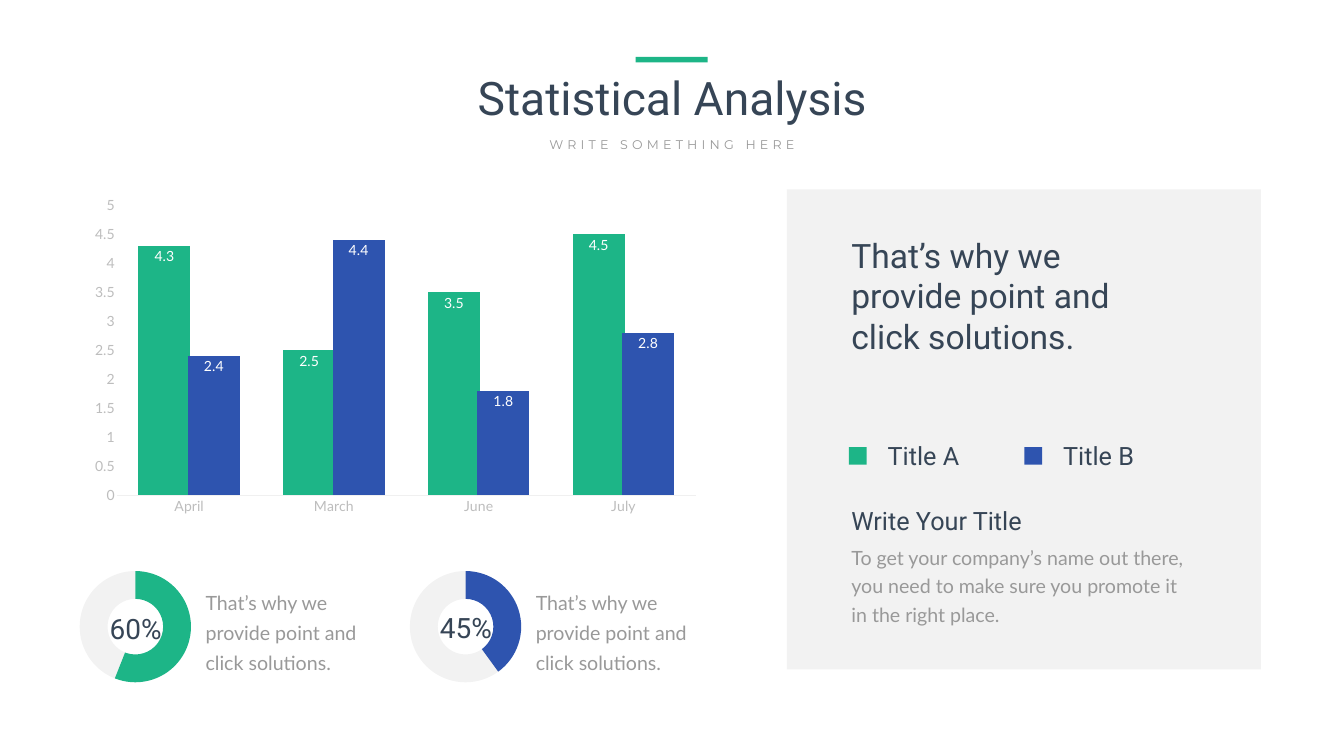
import pptx
from lxml import etree
from pptx.chart.data import CategoryChartData
from pptx.dml.color import RGBColor
from pptx.enum.chart import XL_CHART_TYPE, XL_LABEL_POSITION, XL_TICK_MARK
from pptx.enum.shapes import MSO_SHAPE
from pptx.enum.text import MSO_ANCHOR, MSO_AUTO_SIZE, PP_ALIGN
from pptx.oxml.ns import qn
from pptx.util import Inches, Pt

GREEN, BLUE, NAVY = "1DB587", "2E54AF", "364556"
GREY, AXIS_GREY, AXIS_LINE, WHITE = "999999", "BDBDBD", "F0F0F0", "FFFFFF"
PALE = "808080"  # shown at 10 % opacity

SLOGAN = "That’s why we provide point and click solutions."
MONTHS = ["April", "March", "June", "July"]
SERIES = [
    ("Series 1", [4.3, 2.5, 3.5, 4.5], GREEN),
    ("Series 2", [2.4, 4.4, 1.8, 2.8], BLUE),
]
# left edge, label, label top, filled share, colour, caption width
RINGS = [
    (1.35, "60%", 12.09, 56, GREEN, 3.33),
    (7.9, "45%", 12.07, 40, BLUE, 3.77),
]
LEGEND = [("Title A", GREEN), ("Title B", BLUE)]
PANEL_TITLE = "Write Your Title"
PANEL_BODY = ("To get your company’s name out there, you need to make sure "
              "you promote it in the right place.")


def rgb(hex_colour):
    return RGBColor.from_string(hex_colour)


def set_font(font, name, size, colour):
    font.name, font.size, font.bold = name, Pt(size), False
    font.color.rgb = rgb(colour)


def paint(fill, colour, opacity=100):
    fill.solid()
    fill.fore_color.rgb = rgb(colour)
    if opacity < 100:
        colour_element = fill._xPr.find(qn("a:solidFill"))[0]
        etree.SubElement(colour_element, qn("a:alpha"), val=str(opacity * 1000))


def write(box, text, name, size, colour, align=PP_ALIGN.LEFT, line_pt=None):
    frame = box.text_frame
    frame.text = text
    frame.word_wrap = True
    frame.auto_size = MSO_AUTO_SIZE.NONE
    frame.vertical_anchor = MSO_ANCHOR.TOP
    paragraph = frame.paragraphs[0]
    paragraph.alignment = align
    if line_pt:
        paragraph.line_spacing = Pt(line_pt)
    set_font(paragraph.runs[0].font, name, size, colour)
    return paragraph.runs[0]


def add_text(left, top, width, height, *style, **options):
    box = slide.shapes.add_textbox(*map(Inches, (left, top, width, height)))
    return write(box, *style, **options)


def add_block(left, top, width, height, colour, opacity=100):
    block = slide.shapes.add_shape(
        MSO_SHAPE.RECTANGLE, *map(Inches, (left, top, width, height)))
    block.shadow.inherit = False
    block.line.fill.background()
    paint(block.fill, colour, opacity)


def add_chart(kind, left, top, width, height, categories, series, plot_box):
    """Add a chart whose inner plot area is plot_box, in shares of the chart."""
    data = CategoryChartData()
    data.categories = categories
    for name, values in series:
        data.add_series(name, values)
    chart = slide.shapes.add_chart(
        kind, *map(Inches, (left, top, width, height)), data).chart
    chart.has_legend = chart.has_title = False
    plot_area = chart._chartSpace.find(".//" + qn("c:plotArea"))
    for old in plot_area.findall(qn("c:layout")):
        plot_area.remove(old)
    layout = etree.Element(qn("c:layout"))
    plot_area.insert(0, layout)
    manual = etree.SubElement(layout, qn("c:manualLayout"))
    settings = [("layoutTarget", "inner"), ("xMode", "edge"), ("yMode", "edge")]
    for tag, value in settings + list(zip("xywh", plot_box)):
        etree.SubElement(manual, qn("c:" + tag), val=str(value))
    return chart


def add_monthly_columns():
    chart = add_chart(XL_CHART_TYPE.COLUMN_CLUSTERED, 1.66, 3.76, 12.39, 6.58,
                      MONTHS, [row[:2] for row in SERIES],
                      (0.053, 0.047, 0.927, 0.874))
    set_font(chart.font, "Lato", 20, GREY)
    plot = chart.plots[0]
    plot.gap_width, plot.overlap, plot.vary_by_categories = 83, 5, False
    for series, (_, _, colour) in zip(plot.series, SERIES):
        paint(series.format.fill, colour)
        labels = series.data_labels
        labels.show_value = True
        labels.position = XL_LABEL_POSITION.INSIDE_END
        set_font(labels.font, "Lato", 20, WHITE)
    months, scale = chart.category_axis, chart.value_axis
    for axis in (months, scale):
        axis.major_tick_mark = axis.minor_tick_mark = XL_TICK_MARK.NONE
        axis.has_major_gridlines = False
        set_font(axis.tick_labels.font, "Lato", 20, AXIS_GREY)
    months.format.line.color.rgb = rgb(AXIS_LINE)
    months.format.line.width = Pt(0.75)
    scale.format.line.fill.background()
    scale.minimum_scale, scale.maximum_scale, scale.major_unit = 0, 5, 0.5


def add_ring(left, label, label_top, share, colour, caption_width):
    chart = add_chart(XL_CHART_TYPE.DOUGHNUT, left, 11.18, 2.67, 2.51,
                      ["1", "2"], [("Series 1", [share, 100 - share])],
                      (0.085, 0.06, 0.83, 0.88))
    set_font(chart.font, "Calibri", 10, GREY)
    chart._chartSpace.find(".//" + qn("c:holeSize")).set("val", "75")
    points = chart.plots[0].series[0].points
    paint(points[0].format.fill, colour)
    paint(points[1].format.fill, PALE, 10)
    add_text(left + 0.55, label_top, 1.58, 0.72, label, "Roboto", 40, NAVY,
             align=PP_ALIGN.CENTER)
    add_text(left + 2.63, 11.54, caption_width, 1.84, SLOGAN, "Lato", 28, GREY,
             line_pt=43)


deck = pptx.Presentation()
deck.slide_width, deck.slide_height = Inches(26.66), Inches(15)
slide = deck.slides.add_slide(deck.slide_layouts[5])

# Header
title = slide.shapes.title
title.left, title.top = Inches(7.74), Inches(1.32)
title.width, title.height = Inches(11.19), Inches(1.21)
write(title, "Statistical Analysis", "Roboto", 66, NAVY, align=PP_ALIGN.CENTER)
subtitle = add_text(10.35, 2.66, 5.96, 0.4, "WRITE SOMETHING HERE",
                    "Montserrat", 18, GREY, align=PP_ALIGN.CENTER)
subtitle.font._element.set("spc", "600")
add_block(12.61, 1.13, 1.43, 0.11, GREEN)

# Charts
add_monthly_columns()
for ring in RINGS:
    add_ring(*ring)

# Panel
PANEL_LEFT = 16.79
add_block(15.61, 3.76, 9.4, 9.52, PALE, 10)
add_text(PANEL_LEFT, 4.61, 6.14, 2.52, SLOGAN, "Roboto", 48, NAVY)
for index, (name, colour) in enumerate(LEGEND):
    key_left = 16.84 + 3.48 * index
    add_block(key_left, 8.87, 0.35, 0.35, colour)
    add_text(key_left + 0.67, 8.69, 2.48, 0.71, name, "Roboto", 36, NAVY)
add_text(PANEL_LEFT, 9.97, 5.73, 0.71, PANEL_TITLE, "Roboto", 36, NAVY)
add_text(PANEL_LEFT, 10.68, 7.04, 1.77, PANEL_BODY, "Lato", 28, GREY,
         line_pt=40.8)

deck.save("out.pptx")
